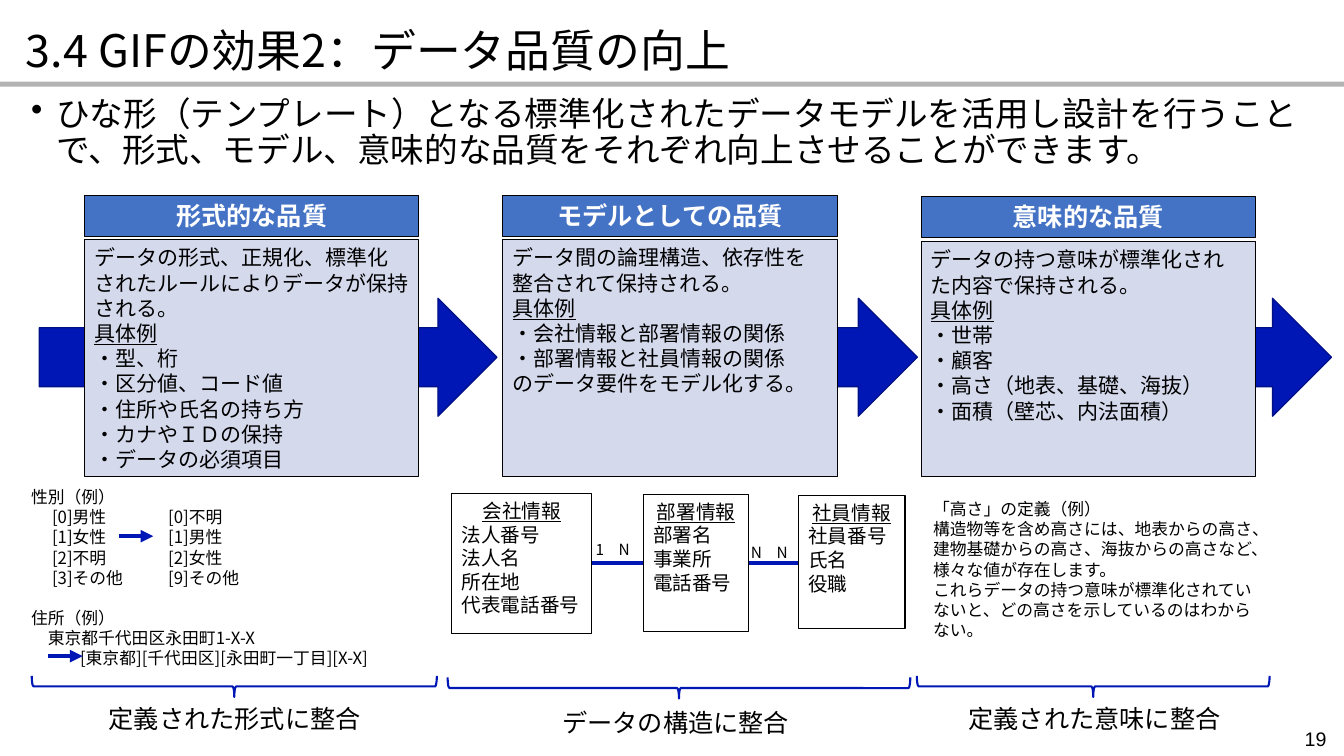
from lxml.etree import SubElement
from pptx import Presentation
from pptx.dml.color import RGBColor
from pptx.enum.shapes import MSO_CONNECTOR, MSO_SHAPE
from pptx.enum.text import MSO_ANCHOR, PP_ALIGN
from pptx.oxml.ns import qn
from pptx.util import Pt

BLACK = RGBColor(0x00, 0x00, 0x00)
WHITE = RGBColor(0xFF, 0xFF, 0xFF)
GREY = RGBColor(0xB3, 0xB3, 0xB3)
BLUE = RGBColor(0x00, 0x17, 0xB6)
DARK_BLUE = RGBColor(0x00, 0x11, 0x87)
HEADER_BLUE = RGBColor(0x44, 0x72, 0xC4)
PALE_BLUE = RGBColor(0xD4, 0xD9, 0xEC)

deck = Presentation()
deck.slide_width, deck.slide_height = Pt(960), Pt(540)
page = deck.slides.add_slide(deck.slide_layouts[6])


def add_shape(kind, bounds, fill=None, line=None, weight=0.75):
    shape = page.shapes.add_shape(kind, *map(Pt, bounds))
    shape.shadow.inherit = False
    if fill is None:
        shape.fill.background()
    else:
        shape.fill.solid()
        shape.fill.fore_color.rgb = fill
    if line is None:
        shape.line.fill.background()
    else:
        shape.line.color.rgb = line
        shape.line.width = Pt(weight)
    return shape


def write(text, bounds=None, shape=None, size=12, font="Noto Sans CJK JP",
          color=BLACK, bold=False, align=PP_ALIGN.LEFT, anchor=MSO_ANCHOR.TOP,
          spacing=None, bullet=None, tabs=(), heading=None,
          heading_align=PP_ALIGN.LEFT, gap_before=None):
    box = shape or page.shapes.add_textbox(*map(Pt, bounds))
    frame = box.text_frame
    frame.word_wrap = True
    frame.vertical_anchor = anchor
    for index, line in enumerate(text.split("\n")):
        para = frame.add_paragraph() if index else frame.paragraphs[0]
        properties = para._p.get_or_add_pPr()
        if bullet:
            properties.set("marL", str(Pt(18)))
            properties.set("indent", str(-Pt(18)))
            SubElement(properties, qn("a:buChar"), char=bullet)
        if tabs:
            stops = SubElement(properties, qn("a:tabLst"))
            for stop in tabs:
                SubElement(stops, qn("a:tab"), pos=str(Pt(stop)), algn="l")
        para.alignment = heading_align if line == heading else align
        if spacing:
            para.line_spacing = spacing
        if line == gap_before:
            para.space_before = Pt(14.4)
        span = para.add_run()
        span.text = line
        span.font.size = Pt(size)
        span.font.bold = bold
        span.font.underline = line == heading
        span.font.color.rgb = color
        span.font.name = font
        SubElement(span._r.get_or_add_rPr(), qn("a:ea"), typeface=font)


# Title, rule, lead sentence and page number
add_shape(MSO_SHAPE.RECTANGLE, (0, 58.3, 960, 3.6), GREY)
write("3.4 GIFの効果2：データ品質の向上", (11.5, 16.6, 905, 42.5), size=32,
      spacing=0.9, anchor=MSO_ANCHOR.MIDDLE)
write("ひな形（テンプレート）となる標準化されたデータモデルを活用し設計を行うことで、"
      "形式、モデル、意味的な品質をそれぞれ向上させることができます。",
      (15.1, 66.2, 924.5, 51), size=24, spacing=0.9, bullet="•")
write("19", (903.6, 515.5, 51, 23.8), size=14, font="Arial",
      align=PP_ALIGN.RIGHT, anchor=MSO_ANCHOR.MIDDLE)

# Flow arrows behind the columns
for left, width in ((661.7, 289.4), (360.7, 294.5), (28.1, 326.9)):
    add_shape(MSO_SHAPE.RIGHT_ARROW, (left, 213.1, width, 84.2),
              BLUE, DARK_BLUE, 1)

# Three quality columns: header, header top, body top, body
columns = [
    ("形式的な品質", 139.7, 171.4,
     "データの形式、正規化、標準化されたルールによりデータが保持される。\n具体例\n"
     "・型、桁\n・区分値、コード値\n・住所や氏名の持ち方\n・カナやＩＤの保持\n・データの必須項目"),
    ("モデルとしての品質", 139.7, 171.4,
     "データ間の論理構造、依存性を整合されて保持される。\n具体例\n"
     "・会社情報と部署情報の関係\n・部署情報と社員情報の関係\nのデータ要件をモデル化する。"),
    ("意味的な品質", 140.4, 172.8,
     "データの持つ意味が標準化された内容で保持される。\n具体例\n"
     "・世帯\n・顧客\n・高さ（地表、基礎、海抜）\n・面積（壁芯、内法面積）"),
]
for index, (header, header_top, body_top, body) in enumerate(columns):
    left = 60.3 + 298.8 * index
    panel = add_shape(MSO_SHAPE.RECTANGLE,
                      (left, body_top, 239, 340.6 - body_top), PALE_BLUE, BLACK)
    write(body, shape=panel, size=15, heading="具体例")
    banner = add_shape(MSO_SHAPE.RECTANGLE, (left, header_top, 239, 29),
                       HEADER_BLUE, BLACK)
    write(header, shape=banner, size=18, color=WHITE, bold=True,
          align=PP_ALIGN.CENTER, anchor=MSO_ANCHOR.MIDDLE)

# Format example: code lists and address
write("性別（例）\n\t[0]男性\t[0]不明\n\t[1]女性\t[1]男性\n\t[2]不明\t[2]女性\n"
      "\t[3]その他\t[9]その他\n住所（例）", (15.1, 344.2, 304.6, 110),
      tabs=(15, 98), gap_before="住所（例）")
write("\t東京都千代田区永田町1-X-X", (15.1, 444.6, 304.6, 22), tabs=(12,))
write("\t[東京都][千代田区][永田町一丁目][X-X]", (15.1, 459, 304.6, 22), tabs=(35,))

# Model example: entities
entities = [
    (322.6, 352.8, 100.1, 99.4, "会社情報", "法人番号\n法人名\n所在地\n代表電話番号"),
    (459.4, 353.5, 75.6, 97.9, "部署情報", "部署名\n事業所\n電話番号"),
    (570.2, 354.2, 76.3, 95, "社員情報", "社員番号\n氏名\n役職"),
]
for left, top, width, height, name, fields in entities:
    entity = add_shape(MSO_SHAPE.RECTANGLE, (left, top, width, height), None, BLACK)
    write(f"{name}\n{fields}", shape=entity, size=14, heading=name,
          heading_align=PP_ALIGN.CENTER)
write("1\tN", (418.3, 382.3, 64.8, 20.9), size=11, tabs=(16.5,))
write("N\tN", (529.2, 384.5, 64.8, 20.9), size=11, tabs=(18.5,))

# Relations between entities, then conversion arrows
lines = [
    (422.7, 459.4, 402.3, False), (535, 570.2, 402.3, False),
    (85, 109.4, 383, True), (34.6, 59, 468.7, True),
]
for start, end, y, has_arrow in lines:
    link = page.shapes.add_connector(MSO_CONNECTOR.STRAIGHT,
                                     Pt(start), Pt(y), Pt(end), Pt(y))
    link.line.color.rgb = BLUE
    link.line.width = Pt(3)
    if has_arrow:
        SubElement(link.line._get_or_add_ln(), qn("a:tailEnd"), type="triangle")
    SubElement(link._element.spPr, qn("a:effectLst"))

# Meaning example
write("「高さ」の定義（例）\n"
      "構造物等を含め高さには、地表からの高さ、建物基礎からの高さ、海抜からの高さなど、"
      "様々な値が存在します。\n"
      "これらデータの持つ意味が標準化されていないと、どの高さを示しているのはわからない。",
      (659.5, 352.8, 252, 108.7))

# Braces, turned to point down, with captions
braces = [
    (159.8, 345.6, 289.4, "定義された形式に整合", 70.6, 499),
    (477.4, 326.2, 330.5, "データの構造に整合", 394.6, 501.8),
    (773.3, 364.3, 252, "定義された意味に整合", 684.7, 499),
]
for left, top, span_width, caption, caption_left, caption_top in braces:
    brace = add_shape(MSO_SHAPE.RIGHT_BRACE, (left, top, 15.1, span_width),
                      None, BLUE, 1.5)
    brace.rotation = 90
    write(caption, (caption_left, caption_top, 196.6, 28.8), size=18)

deck.save("out.pptx")
